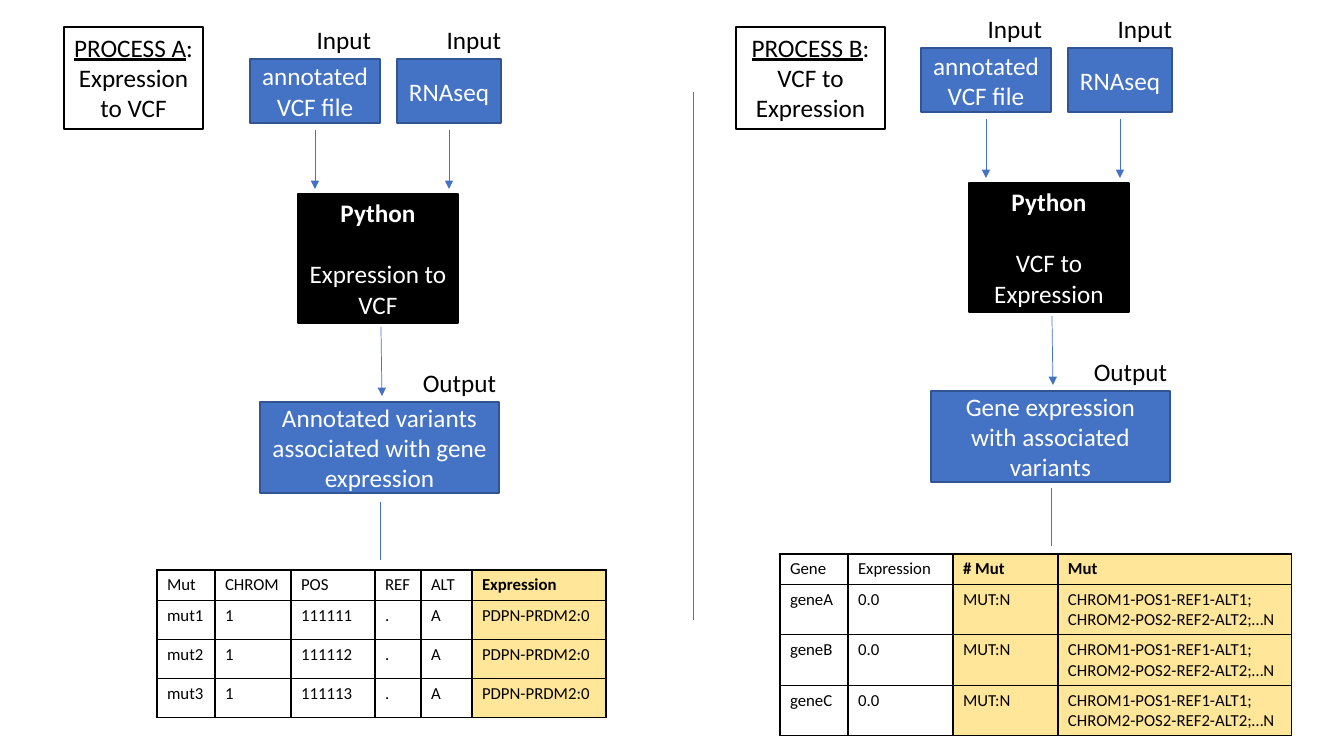
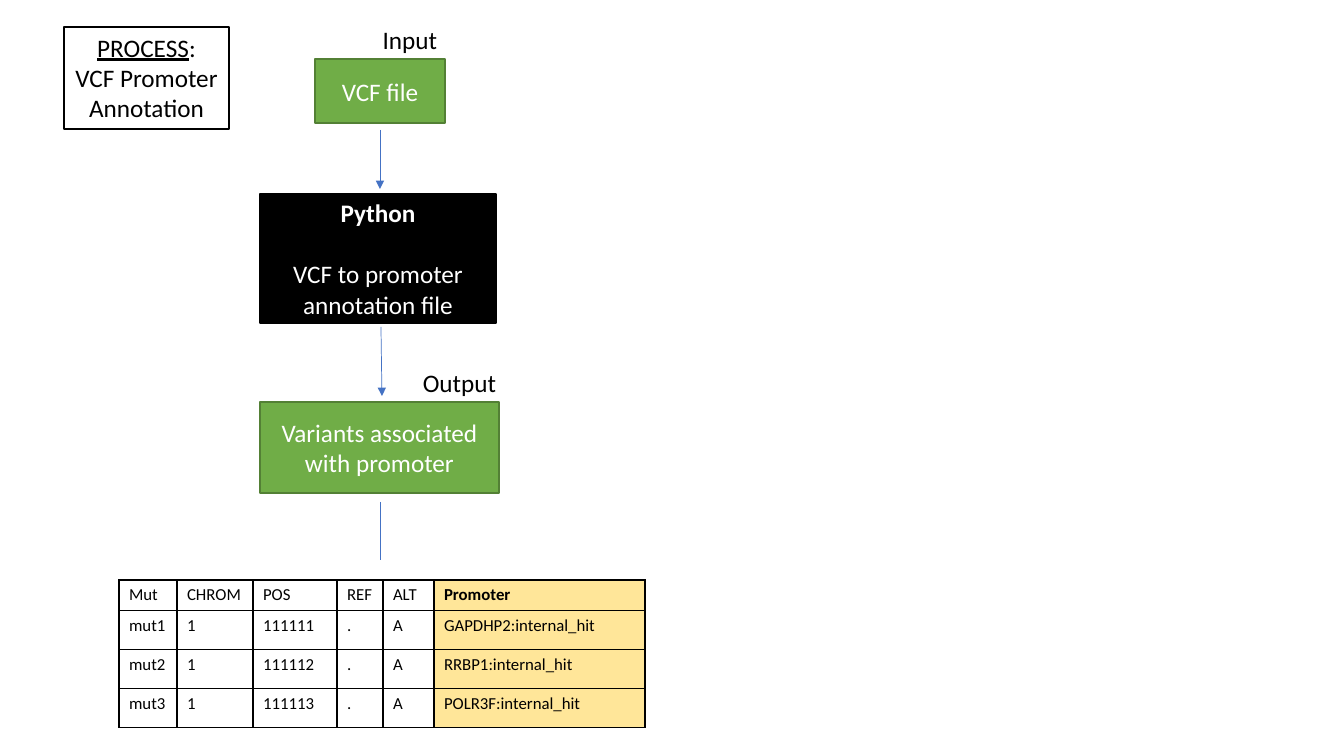
from lxml.etree import SubElement
from pptx import Presentation
from pptx.dml.color import RGBColor
from pptx.enum.shapes import MSO_CONNECTOR, MSO_SHAPE
from pptx.enum.text import MSO_ANCHOR, MSO_AUTO_SIZE, PP_ALIGN
from pptx.oxml.ns import qn
from pptx.util import Emu, Pt

COLORS = {
    "blue": "4472C4", "blue_edge": "325491",
    "green": "70AD47", "green_edge": "538035",
    "black": "000000", "white": "FFFFFF", "highlight": "FFE699",
}
FONT = "Calibri"
BODY, CELL = 18, 12
LABEL_W, LABEL_H = 103, 40
VARIANT_COLUMNS = [58, 76, 84, 46, 51]


def px(length):
    return Emu(round(length * 914400 / 100.8))


def color(name):
    return RGBColor.from_string(COLORS[name])


def add_run(paragraph, text, ink, size=BODY, bold=False, underline=False):
    run = paragraph.add_run()
    run.text = text
    font = run.font
    font.name, font.size = FONT, Pt(size)
    font.bold, font.underline = bold, underline
    font.color.rgb = color(ink)


def add_box(slide, box, fill, edge):
    """Draw an outlined rectangle and return its text frame."""
    rectangle = slide.shapes.add_shape(MSO_SHAPE.RECTANGLE, *map(px, box))
    rectangle.shadow.inherit = False
    rectangle.fill.solid()
    rectangle.fill.fore_color.rgb = color(fill)
    rectangle.line.color.rgb = color(edge)
    rectangle.line.width = Pt(1)
    frame = rectangle.text_frame
    frame.word_wrap = True
    frame.vertical_anchor = MSO_ANCHOR.MIDDLE
    frame.paragraphs[0].alignment = PP_ALIGN.CENTER
    return frame


def add_data_box(slide, box, text, theme):
    frame = add_box(slide, box, theme, theme + "_edge")
    add_run(frame.paragraphs[0], text, "white")


def add_label(slide, left, top, text, alignment):
    label = slide.shapes.add_textbox(*map(px, (left, top, LABEL_W, LABEL_H)))
    frame = label.text_frame
    frame.word_wrap = True
    frame.auto_size = MSO_AUTO_SIZE.SHAPE_TO_FIT_TEXT
    frame.paragraphs[0].alignment = alignment
    add_run(frame.paragraphs[0], text, "black")


def add_line(slide, start, end, arrow=False):
    line = slide.shapes.add_connector(
        MSO_CONNECTOR.STRAIGHT, *map(px, (*start, *end)))
    line.line.color.rgb = color("blue")
    line.line.width = Pt(0.5)
    properties = line._element.spPr
    if arrow:
        SubElement(properties.find(qn("a:ln")), qn("a:tailEnd"), type="triangle")
    SubElement(properties, qn("a:effectLst"))


def add_process_name(slide, box, name, description):
    frame = add_box(slide, box, "white", "black")
    frame.vertical_anchor = MSO_ANCHOR.TOP
    frame.auto_size = MSO_AUTO_SIZE.SHAPE_TO_FIT_TEXT
    heading = frame.paragraphs[0]
    add_run(heading, name, "black", underline=True)
    add_run(heading, ":", "black")
    detail = frame.add_paragraph()
    detail.alignment = PP_ALIGN.CENTER
    add_run(detail, description, "black")


def add_flow(slide, left, top, theme, inputs, step, step_span, output, stub_top):
    """Inputs, Python step and output; inputs hold (x, width, label x, text)."""
    # Inputs with their arrows
    for x, width, label_x, text in inputs:
        add_label(slide, left + label_x, top, "Input", PP_ALIGN.RIGHT)
        add_data_box(slide, (left + x, top + 40, width, 64), text, theme)
        center = left + x + width // 2
        add_line(slide, (center, top + 111), (center, top + 170), arrow=True)

    # Python step
    step_x, step_width = step_span
    frame = add_box(slide, (left + step_x, top + 175, step_width, 129),
                    "black", "black")
    language = frame.paragraphs[0]
    language.space_after = Pt(22)
    add_run(language, "Python", "white", bold=True)
    task = frame.add_paragraph()
    task.alignment = PP_ALIGN.CENTER
    add_run(task, step, "white")
    add_line(slide, (left + 131, top + 308), (left + 132, top + 377), arrow=True)

    # Output and the line towards its table
    add_data_box(slide, (left + 10, top + 383, 239, 91), output, theme)
    add_label(slide, left + 158, top + 343, "Output", PP_ALIGN.CENTER)
    add_line(slide, (left + 130, stub_top), (left + 130, stub_top + 58))


def add_cell_borders(cell):
    properties = cell._tc.get_or_add_tcPr()
    for side in ("lnL", "lnR", "lnT", "lnB"):
        border = SubElement(properties, qn("a:" + side), w=str(Pt(1)))
        fill = SubElement(border, qn("a:solidFill"))
        SubElement(fill, qn("a:srgbClr"), val=COLORS["black"])


def add_result_table(slide, left, top, columns, row_height, rows, highlighted):
    """Draw a table whose last `highlighted` columns are the added results."""
    heights = [29] + [row_height] * (len(rows) - 1)
    table = slide.shapes.add_table(
        len(rows), len(columns),
        *map(px, (left, top, sum(columns), sum(heights)))).table
    table.first_row = table.horz_banding = False
    for column, width in zip(table.columns, columns):
        column.width = px(width)
    for r, values in enumerate(rows):
        table.rows[r].height = px(heights[r])
        for c, value in enumerate(values):
            cell = table.cell(r, c)
            is_result = c >= len(columns) - highlighted
            add_cell_borders(cell)
            if is_result:
                cell.fill.solid()
                cell.fill.fore_color.rgb = color("highlight")
            else:
                cell.fill.background()
            add_run(cell.text_frame.paragraphs[0], value, "black", CELL,
                    bold=is_result and r == 0)


def variant_rows(result_name, results):
    header = ["Mut", "CHROM", "POS", "REF", "ALT", result_name]
    return [header] + [
        [f"mut{n}", "1", str(111110 + n), ".", "A", result]
        for n, result in enumerate(results, 1)]


def build_expression_slide(slide):
    inputs = [(0, 130, 28, "annotated VCF file"), (147, 104, 158, "RNAseq")]

    # Process A
    add_process_name(slide, (64, 27, 139, 102), "PROCESS A", "Expression to VCF")
    add_flow(slide, 250, 19, "blue", inputs, "Expression to VCF", (48, 160),
             "Annotated variants associated with gene expression", 502)
    add_result_table(slide, 157, 570, VARIANT_COLUMNS + [134], 39,
                     variant_rows("Expression", ["PDPN-PRDM2:0"] * 3), 1)

    # Divider
    add_line(slide, (693, 92), (693, 620))

    # Process B
    add_process_name(slide, (736, 27, 149, 102), "PROCESS B", "VCF to Expression")
    add_flow(slide, 921, 8, "blue", inputs, "VCF to Expression", (48, 160),
             "Gene expression with associated variants", 488)
    mutations = "CHROM1-POS1-REF1-ALT1; CHROM2-POS2-REF2-ALT2;…N"
    gene_rows = [["Gene", "Expression", "# Mut", "Mut"]] + [
        ["gene" + letter, "0.0", "MUT:N", mutations] for letter in "ABC"]
    add_result_table(slide, 780, 554, [68, 105, 105, 234], 41, gene_rows, 2)


def build_promoter_slide(slide):
    add_process_name(slide, (64, 27, 165, 102), "PROCESS", "VCF Promoter Annotation")
    add_flow(slide, 250, 19, "green", [(65, 130, 94, "VCF file")],
             "VCF to promoter annotation file", (10, 236),
             "Variants associated with promoter", 502)
    hits = [gene + ":internal_hit" for gene in ("GAPDHP2", "RRBP1", "POLR3F")]
    add_result_table(slide, 119, 580, VARIANT_COLUMNS + [211], 39,
                     variant_rows("Promoter", hits), 1)


deck = Presentation()
deck.slide_width, deck.slide_height = px(1344), px(756)
blank = deck.slide_layouts[6]
for build in (build_expression_slide, build_promoter_slide):
    build(deck.slides.add_slide(blank))
deck.save("out.pptx")
